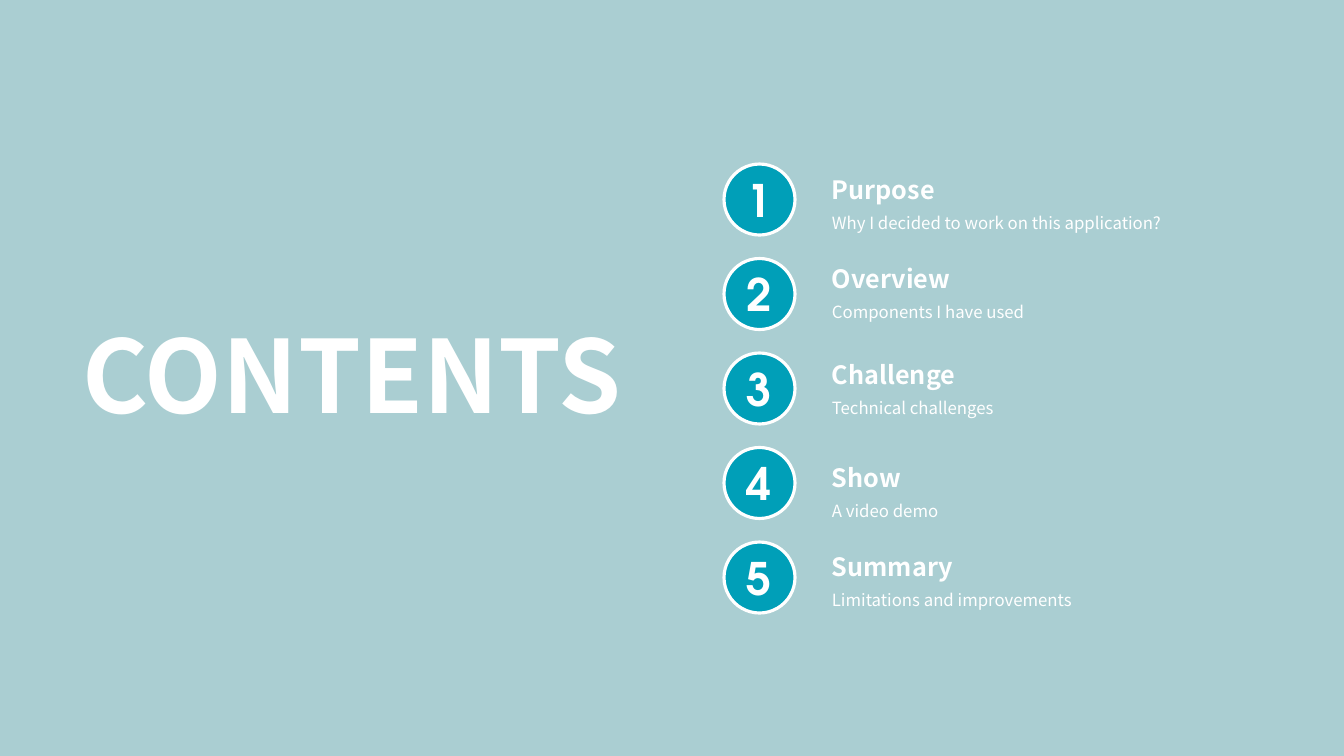
"""Build the contents slide: a large title beside five numbered topics."""
from pptx import Presentation
from pptx.dml.color import RGBColor
from pptx.enum.shapes import MSO_SHAPE
from pptx.enum.text import MSO_ANCHOR, MSO_AUTO_SIZE, PP_ALIGN
from pptx.util import Pt

OVAL = MSO_SHAPE.OVAL
MIDDLE = MSO_ANCHOR.MIDDLE
FIXED = MSO_AUTO_SIZE.NONE
LEFT, CENTER = PP_ALIGN.LEFT, PP_ALIGN.CENTER

TITLE = "CONTENTS"
TOPICS = [
    ("Purpose", "Why I decided to work on this application?", 173),
    ("Overview", "Components I have used", 262),
    ("Challenge", "Technical challenges", 358),
    ("Show", "A video demo", 461),
    ("Summary", "Limitations and improvements", 550),
]
COLORS = {"back": "AACED2", "disc": "009FB8", "white": "FFFFFF"}
SANS, ROUND = "Noto Sans CJK SC", "TeX Gyre Adventor"

SCALE = 914400 / 100.8
DISC_X, DISC_TOP, DISC_END, DISC = 724, 164, 542, 71
TEXT_X, TEXT_W, HEAD_H, NOTE_H = 822, 416, 37, 28


def px(*sizes):
    return [round(size * SCALE) for size in sizes]


def color(name):
    return RGBColor.from_string(COLORS[name])


def write(shape, text, size, bold=False, font=SANS, align=LEFT,
          spacing=0.9, before=10, wrap=True):
    frame = shape.text_frame
    frame.text = text
    frame.word_wrap = wrap
    frame.auto_size = FIXED
    frame.vertical_anchor = MIDDLE
    para = frame.paragraphs[0]
    para.alignment = align
    para.line_spacing = spacing
    para.space_before = Pt(before)
    style = para.runs[0].font
    style.name, style.size, style.bold = font, Pt(size), bold
    style.color.rgb = color("white")


deck = Presentation()
deck.slide_width, deck.slide_height = px(1344, 756)
slide = deck.slides.add_slide(deck.slide_layouts[5])
slide.background.fill.solid()
slide.background.fill.fore_color.rgb = color("back")
shapes = slide.shapes

title = shapes.title
title.left, title.top, title.width, title.height = px(41, 344, 622, 73)
write(title, TITLE, 72, bold=True, align=CENTER)

step = (DISC_END - DISC_TOP) / (len(TOPICS) - 1)
for index, (head, note, top) in enumerate(TOPICS):
    box = shapes.add_textbox(*px(TEXT_X, top, TEXT_W, HEAD_H))
    write(box, head, 18, bold=True)
    box = shapes.add_textbox(*px(TEXT_X, top + HEAD_H, TEXT_W, NOTE_H))
    write(box, note, 12)

    disc = shapes.add_shape(OVAL, *px(DISC_X, DISC_TOP + index * step, DISC, DISC))
    disc.shadow.inherit = False
    disc.fill.solid()
    disc.fill.fore_color.rgb = color("disc")
    disc.line.color.rgb = color("white")
    disc.line.width = Pt(2.25)
    write(disc, str(index + 1), 32, bold=True, font=ROUND, align=CENTER,
          spacing=1.0, before=0, wrap=False)

deck.save("out.pptx")
